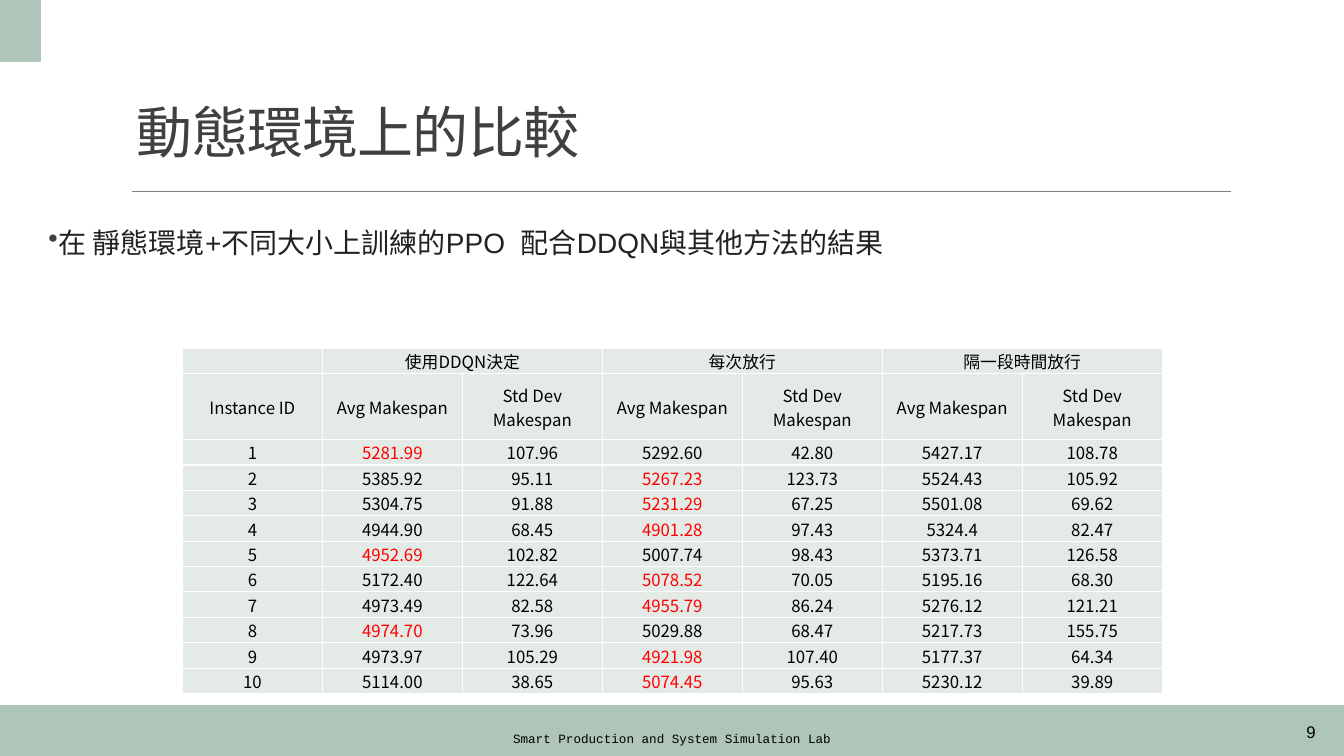
from pptx import Presentation
from pptx.dml.color import RGBColor
from pptx.enum.shapes import MSO_CONNECTOR, MSO_SHAPE
from pptx.enum.text import MSO_ANCHOR, PP_ALIGN
from pptx.oxml.ns import qn
from pptx.util import Pt
from lxml import etree

RECTANGLE = MSO_SHAPE.RECTANGLE
STRAIGHT = MSO_CONNECTOR.STRAIGHT
TOP, MIDDLE, BOTTOM = MSO_ANCHOR.TOP, MSO_ANCHOR.MIDDLE, MSO_ANCHOR.BOTTOM
LEFT, CENTER, RIGHT = PP_ALIGN.LEFT, PP_ALIGN.CENTER, PP_ALIGN.RIGHT

COLORS = {
    "sage": "AFC5B9", "rule": "808080", "title": "404040", "body": "222222",
    "black": "000000", "best": "FF0000", "cell": "E4EBE7", "border": "FFFFFF",
}
CJK_FONT = "Noto Sans CJK SC"

METHODS = ["使用DDQN決定", "每次放行", "隔一段時間放行"]
MEASURES = ["Avg Makespan", "Std Dev Makespan"]
# Average and standard deviation for each method, one instance a row
RESULTS = [
    ["5281.99", "107.96", "5292.60", "42.80", "5427.17", "108.78"],
    ["5385.92", "95.11", "5267.23", "123.73", "5524.43", "105.92"],
    ["5304.75", "91.88", "5231.29", "67.25", "5501.08", "69.62"],
    ["4944.90", "68.45", "4901.28", "97.43", "5324.4", "82.47"],
    ["4952.69", "102.82", "5007.74", "98.43", "5373.71", "126.58"],
    ["5172.40", "122.64", "5078.52", "70.05", "5195.16", "68.30"],
    ["4973.49", "82.58", "4955.79", "86.24", "5276.12", "121.21"],
    ["4974.70", "73.96", "5029.88", "68.47", "5217.73", "155.75"],
    ["4973.97", "105.29", "4921.98", "107.40", "5177.37", "64.34"],
    ["5114.00", "38.65", "5074.45", "95.63", "5230.12", "39.89"],
]
COLUMN_WIDTH, ROW_HEIGHT, HEADING_HEIGHT = 100, 18.15, 47.3


def rgb(name):
    return RGBColor.from_string(COLORS[name])


def style_paragraph(para, size, font, color, align):
    para.alignment = align
    para.font.size = Pt(size)
    para.font.name = font
    para.font.color.rgb = rgb(color)
    properties = para._p.pPr.find(qn("a:defRPr"))
    etree.SubElement(properties, qn("a:ea"), typeface=CJK_FONT)
    return properties


def add_block(page, left, top, width, height):
    block = page.shapes.add_shape(RECTANGLE, Pt(left), Pt(top), Pt(width), Pt(height))
    block.shadow.inherit = False
    block.fill.solid()
    block.fill.fore_color.rgb = rgb("sage")
    block.line.color.rgb = rgb("sage")
    block.line.width = Pt(1.25)


def add_rule(page, left, right, y):
    rule = page.shapes.add_connector(STRAIGHT, Pt(left), Pt(y), Pt(right), Pt(y))
    rule.line.color.rgb = rgb("rule")
    rule.line.width = Pt(0.5)
    etree.SubElement(rule._element.spPr, qn("a:effectLst"))


def add_text(page, place, text, anchor):
    box = page.shapes.add_textbox(*[Pt(length) for length in place])
    frame = box.text_frame
    frame.word_wrap = True
    frame.vertical_anchor = anchor
    para = frame.paragraphs[0]
    para.text = text
    return frame, para


def add_title(page, text):
    _, para = add_text(page, (90.7, 78.5, 753, 43.2), text, BOTTOM)
    para.line_spacing = 0.85
    style_paragraph(para, 40, CJK_FONT, "title", LEFT).set("spc", "-50")


def add_bullet_text(page, text):
    frame, para = add_text(page, (34.6, 145.4, 912, 302), text, TOP)
    frame.margin_left = frame.margin_right = 0
    para.line_spacing = 1.5
    properties = para._p.get_or_add_pPr()
    properties.set("marL", str(Pt(7.2)))
    properties.set("indent", str(Pt(-7.2)))
    bullet_color = etree.SubElement(properties, qn("a:buClr"))
    etree.SubElement(bullet_color, qn("a:srgbClr"), val=COLORS["title"])
    etree.SubElement(properties, qn("a:buChar"), char="•")
    style_paragraph(para, 20, "Arial", "body", LEFT)


def style_cell(cell, text, color):
    cell.margin_left = cell.margin_right = cell.margin_top = Pt(0.7)
    cell.margin_bottom = 0
    cell.vertical_anchor = MIDDLE
    properties = cell._tc.get_or_add_tcPr()
    for side in ("lnL", "lnR", "lnT", "lnB"):
        line = etree.SubElement(properties, qn("a:" + side), w=str(Pt(1)))
        fill = etree.SubElement(line, qn("a:solidFill"))
        etree.SubElement(fill, qn("a:srgbClr"), val=COLORS["border"])
    cell.fill.solid()
    cell.fill.fore_color.rgb = rgb("cell")
    para = cell.text_frame.paragraphs[0]
    style_paragraph(para, 12, CJK_FONT, color, CENTER)
    if text:
        para.add_run().text = text
    else:
        # An empty cell takes its line height from the paragraph end
        etree.SubElement(para._p, qn("a:endParaRPr"), sz="1200")


def add_results_table(page):
    rows = [[""], ["Instance ID"] + MEASURES * len(METHODS)]
    for method in METHODS:
        rows[0] += [method, ""]
    rows += [[str(number)] + values for number, values in enumerate(RESULTS, 1)]
    heights = [ROW_HEIGHT, HEADING_HEIGHT] + [ROW_HEIGHT] * len(RESULTS)
    columns = len(rows[1])

    frame = page.shapes.add_table(len(rows), columns, Pt(130.3), Pt(248.5),
                                  Pt(COLUMN_WIDTH * columns), Pt(sum(heights)))
    table = frame.table
    table.first_row = table.horz_banding = False
    for column in table.columns:
        column.width = Pt(COLUMN_WIDTH)
    for row, height in zip(table.rows, heights):
        row.height = Pt(height)

    for r, texts in enumerate(rows):
        # The lowest average of each instance stands out
        best = min(texts[1::2], key=float) if r > 1 else None
        for c, text in enumerate(texts):
            is_best = c % 2 == 1 and text == best
            style_cell(table.cell(r, c), text, "best" if is_best else "black")
    for c in range(1, columns, 2):
        table.cell(0, c).merge(table.cell(0, c + 1))


def main():
    deck = Presentation()
    deck.slide_width, deck.slide_height = Pt(960), Pt(540)
    page = deck.slides.add_slide(deck.slide_layouts[6])

    # Frame of the slide
    add_block(page, 0, 504, 960, 36)
    add_rule(page, 94.3, 879, 136.6)
    add_block(page, 0, 0, 28.8, 43.9)

    # Title, footer and page number
    add_title(page, "動態環境上的比較")
    _, footer = add_text(page, (290.2, 517.7, 379.4, 20.2),
                         "Smart Production and System Simulation Lab", MIDDLE)
    style_paragraph(footer, 9, "Courier New", "black", CENTER)
    _, number = add_text(page, (843.8, 508.3, 103, 28.8), "9", MIDDLE)
    style_paragraph(number, 12, "Arial", "black", RIGHT)

    # Content
    add_bullet_text(page, "在 靜態環境+不同大小上訓練的PPO  配合DDQN與其他方法的結果")
    add_results_table(page)

    deck.save("out.pptx")


if __name__ == "__main__":
    main()
